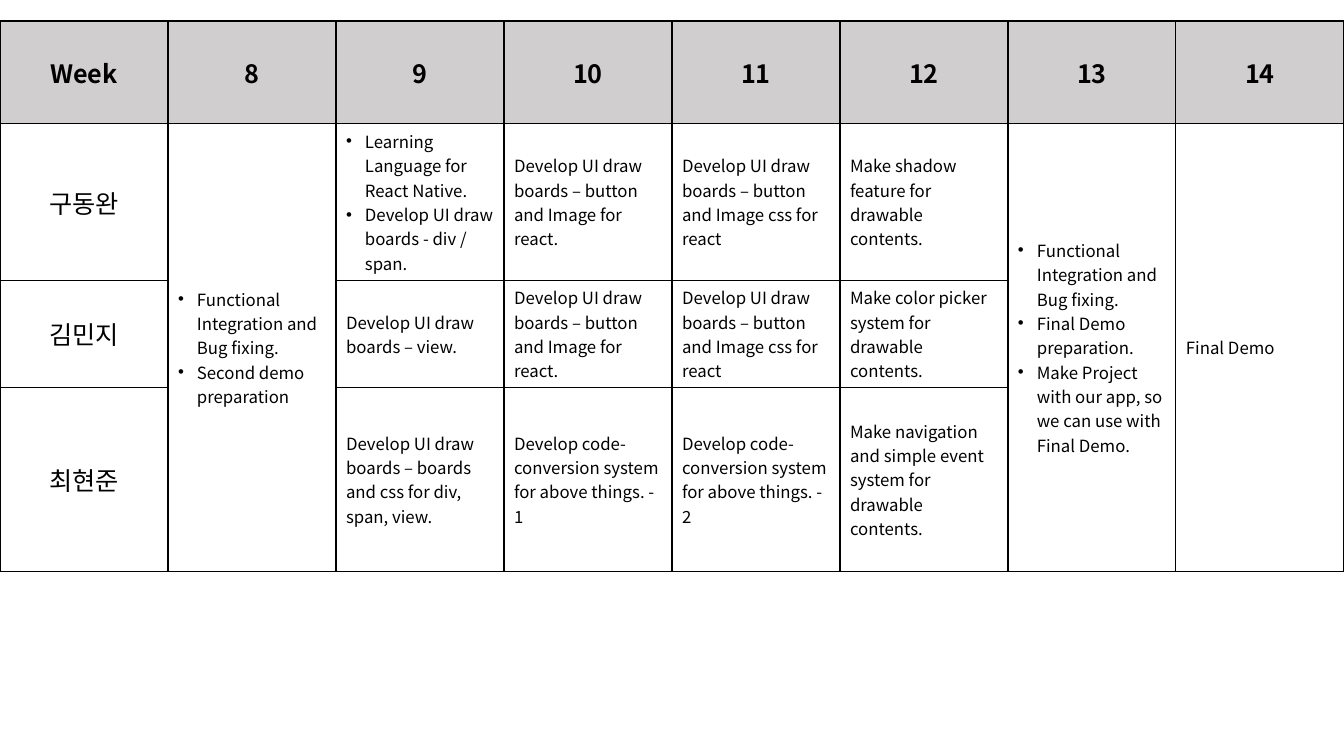
"""Build a slide with the project plan for weeks 8 to 14."""
from dataclasses import dataclass

from lxml import etree
from pptx import Presentation
from pptx.dml.color import RGBColor
from pptx.enum.text import MSO_ANCHOR, PP_ALIGN
from pptx.oxml.ns import qn
from pptx.table import Table, _Cell
from pptx.util import Pt

MIDDLE = MSO_ANCHOR.MIDDLE
CENTER, LEFT = PP_ALIGN.CENTER, PP_ALIGN.LEFT
BLACK = RGBColor(0x00, 0x00, 0x00)
GRAY = RGBColor(0xD0, 0xCE, 0xCE)
WHITE = RGBColor(0xFF, 0xFF, 0xFF)
FACE = "Noto Sans CJK KR"
WIDE, HIGH = Pt(960), Pt(540)
TOP = Pt(15)
ROWS = (Pt(73.5), Pt(85), Pt(75.5), Pt(131))
INDENT = Pt(13.5)
BORDER = Pt(1)


@dataclass(frozen=True)
class Task:
    """Work of one person, or of all when it spans rows."""
    row: int
    week: int
    lines: tuple[str, ...]
    span: int = 1


WEEKS = range(8, 15)
NAMES = ("구동완", "김민지", "최현준")
IMAGE = "Develop UI draw boards – button and Image for react."
STYLE = "Develop UI draw boards – button and Image css for react"
CODE = "Develop code-conversion system for above things. - "
FIXES = "Functional Integration and Bug fixing."
TASKS = (
    Task(1, 8, (FIXES, "Second demo preparation"), 3),
    Task(1, 9, ("Learning Language for React Native.",
                "Develop UI draw boards - div / span.")),
    Task(2, 9, ("Develop UI draw boards – view.",)),
    Task(3, 9, ("Develop UI draw boards – boards and css for div, span, view.",)),
    Task(1, 10, (IMAGE,)),
    Task(2, 10, (IMAGE,)),
    Task(3, 10, (CODE + "1",)),
    Task(1, 11, (STYLE,)),
    Task(2, 11, (STYLE,)),
    Task(3, 11, (CODE + "2",)),
    Task(1, 12, ("Make shadow feature for drawable contents.",)),
    Task(2, 12, ("Make color picker system for drawable contents.",)),
    Task(3, 12, ("Make navigation and simple event system for drawable contents.",)),
    Task(1, 13, (FIXES, "Final Demo preparation.",
                 "Make Project with our app, so we can use with Final Demo."), 3),
    Task(1, 14, ("Final Demo",), 3),
)


def frame(cell: _Cell, color: RGBColor) -> None:
    """Give a cell its borders and fill."""
    props = cell._tc.get_or_add_tcPr()
    for side in ("lnL", "lnR", "lnT", "lnB"):
        line = etree.SubElement(props, qn(f"a:{side}"), w=str(BORDER))
        fill = etree.SubElement(line, qn("a:solidFill"))
        etree.SubElement(fill, qn("a:srgbClr"), val=str(BLACK))
    cell.fill.solid()
    cell.fill.fore_color.rgb = color


def write(cell: _Cell, lines: tuple[str, ...], size: int,
          align: PP_ALIGN = LEFT, bold: bool = False) -> None:
    """Fill a cell with text, bulleted when it has several lines."""
    cell.vertical_anchor = MIDDLE
    cell.text = "\n".join(lines)
    for para in cell.text_frame.paragraphs:
        para.alignment = align
        props = para._p.get_or_add_pPr()
        if len(lines) > 1:
            props.set("marL", str(INDENT))
            props.set("indent", str(-INDENT))
            etree.SubElement(props, qn("a:buFont"), typeface="Arial")
            etree.SubElement(props, qn("a:buChar"), char="•")
        font = para.font
        font.name, font.size, font.bold = FACE, Pt(size), bold
        font.color.rgb = BLACK
        etree.SubElement(props.find(qn("a:defRPr")), qn("a:ea"), typeface=FACE)


def fill_plan(plan: Table) -> None:
    """Format the grid and write headings, names and tasks."""
    plan.first_row = plan.horz_banding = False
    for index, height in enumerate(ROWS):
        plan.rows[index].height = height
        for col in range(len(plan.columns)):
            frame(plan.cell(index, col), WHITE if index else GRAY)
    for col, head in enumerate(("Week", *map(str, WEEKS))):
        write(plan.cell(0, col), (head,), 18, CENTER, True)
    for row, name in enumerate(NAMES, 1):
        write(plan.cell(row, 0), (name,), 18, CENTER)
    for task in TASKS:
        col = task.week - WEEKS.start + 1
        cell = plan.cell(task.row, col)
        if task.span > 1:
            cell.merge(plan.cell(task.row + task.span - 1, col))
        write(cell, task.lines, 12)


def main() -> None:
    """Create and save the slide."""
    deck = Presentation()
    deck.slide_width, deck.slide_height = WIDE, HIGH
    slide = deck.slides.add_slide(deck.slide_layouts[6])
    shape = slide.shapes.add_table(len(ROWS), len(WEEKS) + 1, 0, TOP, WIDE, sum(ROWS))
    fill_plan(shape.table)
    deck.save("out.pptx")


if __name__ == "__main__":
    main()
